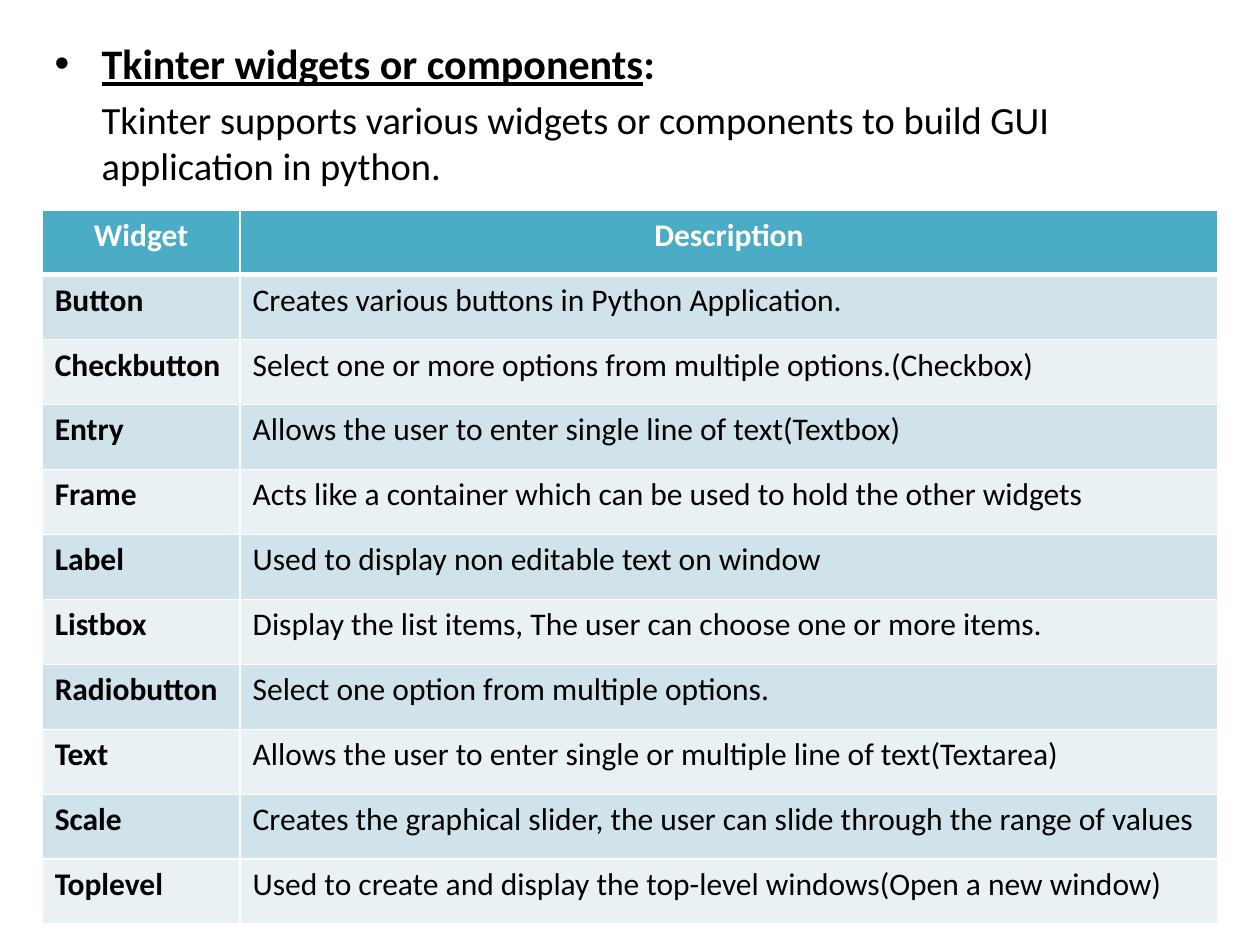
from lxml.etree import SubElement
from pptx import Presentation
from pptx.dml.color import RGBColor
from pptx.enum.text import PP_ALIGN
from pptx.oxml.ns import qn
from pptx.util import Cm, Pt

BLACK, WHITE = "000000", "FFFFFF"
HEADER_FILL = "4BACC6"
BAND_FILLS = ["E9F1F5", "D0E3EA"]

WIDGETS = [
    ("Widget", "Description"),
    ("Button", "Creates various buttons in Python Application."),
    ("Checkbutton", "Select one or more options from multiple options.(Checkbox)"),
    ("Entry", "Allows the user to enter single line of text(Textbox)"),
    ("Frame", "Acts like a container which can be used to hold the other widgets"),
    ("Label", "Used to display non editable text on window"),
    ("Listbox", "Display the list items, The user can choose one or more items."),
    ("Radiobutton", "Select one option from multiple options."),
    ("Text", "Allows the user to enter single or multiple line of text(Textarea)"),
    ("Scale", "Creates the graphical slider, the user can slide through the range of values"),
    ("Toplevel", "Used to create and display the top-level windows(Open a new window)"),
]


def add_text(paragraph, text, color=BLACK, **formats):
    """Add a Calibri run with the given colour and font attributes."""
    run = paragraph.add_run()
    run.text = text
    run.font.color.rgb = RGBColor.from_string(color)
    for attribute, value in {"name": "Calibri", **formats}.items():
        setattr(run.font, attribute, value)


def set_borders(cell, widths):
    """Draw white cell borders; widths maps an edge tag to points."""
    properties = cell._tc.get_or_add_tcPr()
    for index, (edge, width) in enumerate(widths.items()):
        line = SubElement(properties, qn(f"a:{edge}"), w=str(Pt(width)))
        fill = SubElement(line, qn("a:solidFill"))
        SubElement(fill, qn("a:srgbClr"), val=WHITE)
        properties.insert(index, line)


presentation = Presentation()
presentation.slide_width, presentation.slide_height = Cm(25.4), Cm(19.05)
slide = presentation.slides.add_slide(presentation.slide_layouts[6])

# Heading and introduction
intro = slide.shapes.add_textbox(Cm(0.85), Cm(0.64), Cm(23.7), Cm(3.5)).text_frame
intro.word_wrap = True
heading = intro.paragraphs[0]
add_text(heading, "Tkinter widgets or components", size=Pt(24), bold=True, underline=True)
add_text(heading, ":", size=Pt(24), bold=True)
summary = intro.add_paragraph()
add_text(summary, "Tkinter supports various widgets or components to build GUI "
         "application in python.", size=Pt(22))
for paragraph, space, indent in [(heading, 4.8, -0.95), (summary, 4.4, 0)]:
    paragraph.space_before = Pt(space)
    properties = paragraph._p.get_or_add_pPr()
    properties.set("marL", str(Cm(0.95)))
    properties.set("indent", str(Cm(indent)))
bullet_properties = heading._p.get_or_add_pPr()
SubElement(bullet_properties, qn("a:buFont"), typeface="Arial")
SubElement(bullet_properties, qn("a:buChar"), char="•")

# Widget table
table = slide.shapes.add_table(len(WIDGETS), 2, Cm(0.85), Cm(4.23),
                               Cm(23.7), Cm(14.4)).table
for column, width in zip(table.columns, (3.99, 19.71)):
    column.width = Cm(width)
for row_index, texts in enumerate(WIDGETS):
    is_header = row_index == 0
    table.rows[row_index].height = Cm(14.4 / len(WIDGETS))
    for column_index, text in enumerate(texts):
        cell = table.cell(row_index, column_index)
        cell.fill.solid()
        cell.fill.fore_color.rgb = RGBColor.from_string(
            HEADER_FILL if is_header else BAND_FILLS[row_index % 2])
        set_borders(cell, {"lnL": 1, "lnR": 1, "lnT": 3 if row_index == 1 else 1,
                           "lnB": 3 if is_header else 1})
        paragraph = cell.text_frame.paragraphs[0]
        paragraph.alignment = PP_ALIGN.CENTER if is_header else PP_ALIGN.LEFT
        add_text(paragraph, text, WHITE if is_header else BLACK, size=Pt(18),
                 bold=is_header or column_index == 0)

presentation.save("out.pptx")
